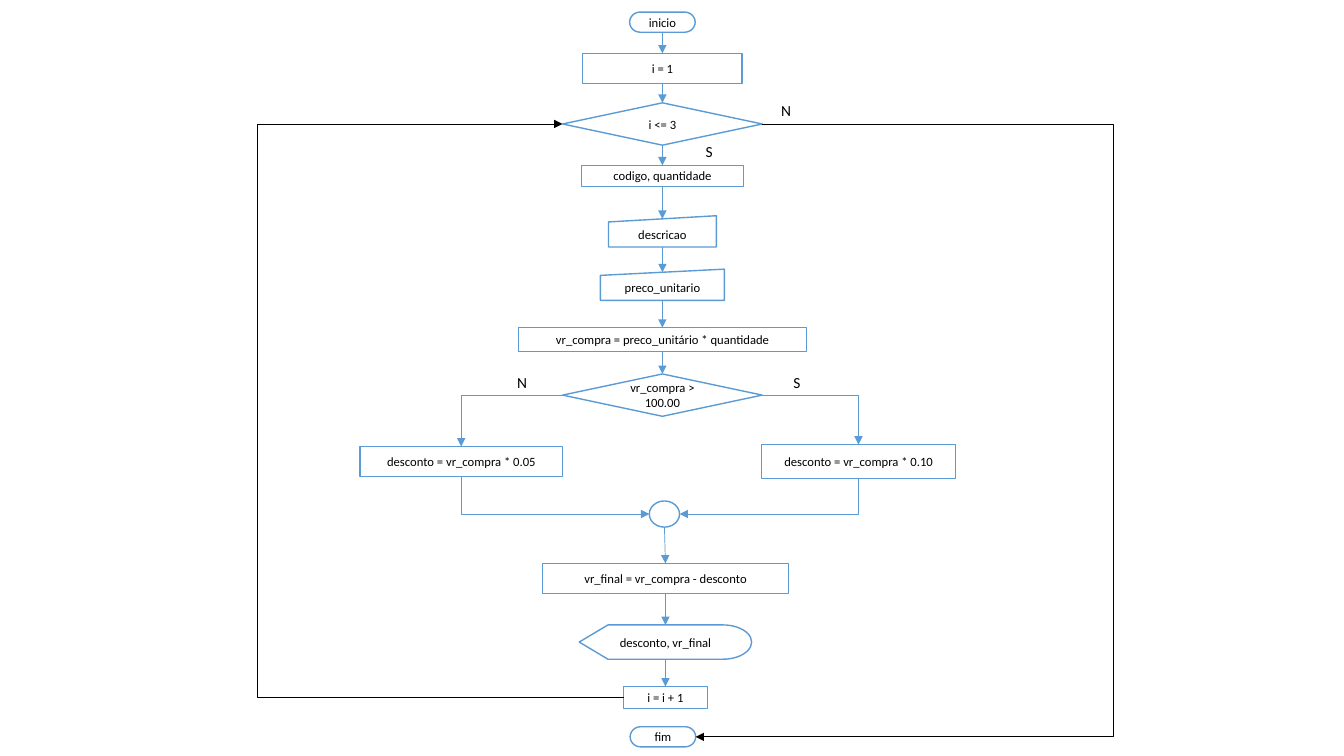
from collections import namedtuple
from dataclasses import dataclass
from itertools import pairwise
from lxml.etree import SubElement as Sub
from pptx import Presentation
from pptx.dml.color import RGBColor as RGB
from pptx.enum.shapes import MSO_CONNECTOR as Wire, MSO_SHAPE as Kind
from pptx.enum.text import MSO_ANCHOR as Anchor, PP_ALIGN as Align
from pptx.oxml.ns import qn
from pptx.util import Inches, Pt

Box = namedtuple("Box", "x y w h")
Step = namedtuple("Step", "text kind y w h")


@dataclass(frozen=True)
class Theme:
    """Colours, type and line sizes of the chart."""
    ink: RGB = RGB(0, 0, 0)
    paper: RGB = RGB(255, 255, 255)
    blue: RGB = RGB(0x5B, 0x9B, 0xD5)
    font: str = "Calibri"
    small: float = 9
    large: float = 11
    edge: float = 1
    thin: float = 0.5


LOOK = Theme()


def write(frame, text, size=LOOK.small, align=Align.CENTER, anchor=Anchor.MIDDLE):
    """Put formatted text in a frame."""
    frame.word_wrap = True
    frame.vertical_anchor = anchor
    para = frame.paragraphs[0]
    para.alignment = align
    run = para.add_run()
    run.text = text
    run.font.name = LOOK.font
    run.font.size = Pt(size)
    run.font.color.rgb = LOOK.ink


def node(slide, kind, box, text=""):
    """Draw one outlined flowchart symbol."""
    shape = slide.shapes.add_shape(kind, *map(Inches, box))
    shape.shadow.inherit = False
    shape.fill.solid()
    shape.fill.fore_color.rgb = LOOK.paper
    shape.line.color.rgb = LOOK.blue
    shape.line.width = Pt(LOOK.edge)
    if text:
        write(shape.text_frame, text)
    return shape


def label(slide, text, x, y):
    """Name the way out of a decision."""
    area = slide.shapes.add_textbox(*map(Inches, (x, y, 0.34, 0.29)))
    write(area.text_frame, text, size=LOOK.large, align=Align.LEFT, anchor=Anchor.TOP)


def wire(slide, kind, start, end, color=LOOK.blue, tip="tailEnd"):
    """Draw a thin connector with an arrowhead at one end."""
    line = slide.shapes.add_connector(kind, *start, *end)
    line.line.color.rgb = color
    line.line.width = Pt(LOOK.thin)
    Sub(line.line._get_or_add_ln(), qn("a:" + tip), type="triangle")
    Sub(line._element.spPr, qn("a:effectLst"))
    return line


def port(shape, side):
    """Find the middle of one side of a shape."""
    dx, dy = {"top": (0.5, 0), "left": (0, 0.5), "low": (0.5, 1), "right": (1, 0.5)}[side]
    return int(shape.left + dx * shape.width), int(shape.top + dy * shape.height)


def link(slide, upper, lower):
    """Join two symbols from top to bottom."""
    start, (x, y) = port(upper, "low"), port(lower, "top")
    if lower.auto_shape_type == Kind.FLOWCHART_MANUAL_INPUT:
        y += lower.height // 10
    line = wire(slide, Wire.STRAIGHT, start, (x, y))
    line.begin_connect(upper, 2)
    line.end_connect(lower, 0)
    line.end_y = y
    if upper.auto_shape_type == Kind.FLOWCHART_CONNECTOR:
        line._element.find(".//" + qn("a:stCxn")).set("idx", "4")


def corner(slide, start, end, tip="tailEnd"):
    """Run level from the start, then upright to the end."""
    line = wire(slide, Wire.ELBOW, start, end, tip=tip)
    line._element.spPr.prstGeom.set("prst", "bentConnector2")


def detour(slide, start, end, lane):
    """Run around the chart along an upright lane."""
    line = wire(slide, Wire.ELBOW, start, end, color=LOOK.ink)
    ratio = round((Inches(lane) - start[0]) / (end[0] - start[0]) * 100000)
    guides = line._element.spPr.prstGeom.get_or_add_avLst()
    Sub(guides, qn("a:gd"), name="adj1", fmla=f"val {ratio}")


def column(slide, box, steps):
    """Centre steps in a box and link each to the next."""
    nodes = [
        node(slide, s.kind, Box(box.x + (box.w - s.w) / 2, box.y + s.y, s.w, s.h), s.text)
        for s in steps
    ]
    for upper, lower in pairwise(nodes):
        link(slide, upper, lower)
    return nodes


def intake(slide, box):
    """Draw the start, the loop test and the inputs."""
    nodes = column(slide, box, [
        Step("inicio", Kind.FLOWCHART_TERMINATOR, 0, 0.65, 0.2),
        Step("i = 1", Kind.RECTANGLE, 0.41, 1.58, 0.3),
        Step("i <= 3", Kind.FLOWCHART_DECISION, 0.9, 1.98, 0.42),
        Step("codigo, quantidade", Kind.RECTANGLE, 1.52, 1.61, 0.21),
        Step("descricao", Kind.FLOWCHART_MANUAL_INPUT, 2.02, 1.07, 0.31),
        Step("preco_unitario", Kind.FLOWCHART_MANUAL_INPUT, 2.55, 1.23, 0.31),
        Step("vr_compra = preco_unitário * quantidade", Kind.RECTANGLE, 3.13, 2.86, 0.24),
        Step("vr_compra > 100.00", Kind.FLOWCHART_DECISION, 3.59, 1.98, 0.42),
    ])
    label(slide, "N", box.x + 2.51, box.y + 0.83)
    label(slide, "S", box.x + 1.76, box.y + 1.24)
    return nodes[2], nodes[-1]


def split(slide, box, test):
    """Draw both discounts and the point where they meet."""
    low = node(slide, Kind.RECTANGLE, Box(box.x, box.y + 0.78, 2.01, 0.3),
               "desconto = vr_compra * 0.05")
    high = node(slide, Kind.RECTANGLE, Box(box.x + box.w - 1.93, box.y + 0.76, 1.93, 0.34),
                "desconto = vr_compra * 0.10")
    join = node(slide, Kind.FLOWCHART_CONNECTOR,
                Box(box.x + 2.87, box.y + box.h - 0.26, 0.3, 0.26))
    for side, rule in (("left", low), ("right", high)):
        corner(slide, port(test, side), port(rule, "top"))
        corner(slide, port(join, side), port(rule, "low"), tip="headEnd")
    label(slide, "N", box.x + 1.46, box.y)
    label(slide, "S", box.x + 4.2, box.y)
    return join


def output(slide, box, join):
    """Draw the final value, its display and the counter."""
    nodes = column(slide, box, [
        Step("vr_final = vr_compra - desconto", Kind.RECTANGLE, 0, 2.44, 0.3),
        Step("desconto, vr_final", Kind.FLOWCHART_DISPLAY, 0.61, 1.71, 0.34),
        Step("i = i + 1", Kind.RECTANGLE, 1.22, 0.83, 0.22),
    ])
    link(slide, join, nodes[0])
    return nodes[-1]


def chart(slide, box):
    """Lay out the whole flowchart."""
    loop, test = intake(slide, Box(box.x + 2.59, box.y, 2.86, 4.01))
    join = split(slide, Box(box.x + 1.02, box.y + 3.53, 5.91, 1.58), test)
    count = output(slide, Box(box.x + 2.83, box.y + 5.47, 2.44, 1.44), join)
    stop = node(slide, Kind.FLOWCHART_TERMINATOR,
                Box(box.x + 3.7, box.y + box.h - 0.2, 0.65, 0.2), "fim")
    detour(slide, port(loop, "right"), port(stop, "right"), box.x + box.w)
    detour(slide, port(count, "left"), port(loop, "left"), box.x)


deck = Presentation()
deck.slide_width, deck.slide_height = Inches(13.33), Inches(7.5)
chart(deck.slides.add_slide(deck.slide_layouts[6]), Box(2.55, 0.12, 8.49, 7.29))
deck.save("out.pptx")
